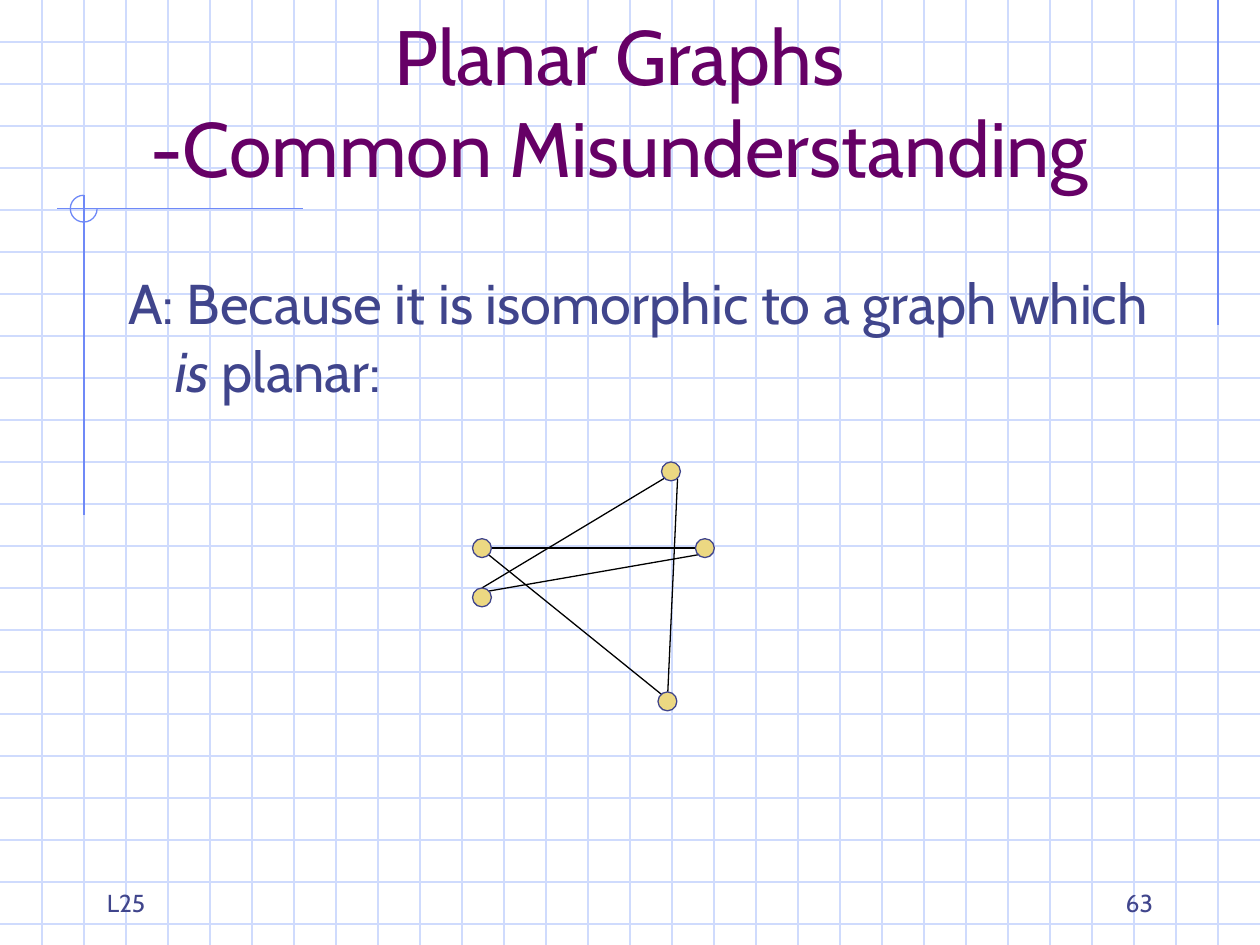
from lxml.etree import SubElement
from pptx import Presentation
from pptx.dml.color import RGBColor
from pptx.enum.shapes import MSO_CONNECTOR, MSO_SHAPE
from pptx.enum.text import MSO_ANCHOR, MSO_AUTO_SIZE, PP_ALIGN
from pptx.oxml.ns import qn
from pptx.util import Pt

GRID = RGBColor(0xCF, 0xDB, 0xFD)
ACCENT = RGBColor(0x6F, 0x89, 0xF7)
PURPLE = RGBColor(0x66, 0x00, 0x66)
NAVY = RGBColor(0x40, 0x45, 0x8C)
YELLOW = RGBColor(0xEC, 0xD8, 0x82)
BLACK = RGBColor(0x00, 0x00, 0x00)
FONT = "Cabin"
WIDTH, HEIGHT, GRID_STEP = 720, 540, 24
NODE_SIZE = 10.8

presentation = Presentation()
presentation.slide_width = Pt(WIDTH)
presentation.slide_height = Pt(HEIGHT)
slide = presentation.slides.add_slide(presentation.slide_layouts[1])


def draw_line(x1, y1, x2, y2, color):
    line = slide.shapes.add_connector(
        MSO_CONNECTOR.STRAIGHT, Pt(x1), Pt(y1), Pt(x2), Pt(y2))
    line.line.color.rgb = color
    line.line.width = Pt(0.75)
    SubElement(line.element.spPr, qn("a:effectLst"))


def add_run(paragraph, text, size, color, italic=False):
    run = paragraph.add_run()
    run.text = text
    run.font.name = FONT
    run.font.size = Pt(size)
    run.font.color.rgb = color
    run.font.italic = italic


# Squared paper
for y in range(GRID_STEP, HEIGHT, GRID_STEP):
    draw_line(0, y, WIDTH, y, GRID)
for x in range(GRID_STEP, WIDTH, GRID_STEP):
    draw_line(x, 0, x, HEIGHT, GRID)

# Accent lines and the three-quarter circle where they cross
draw_line(696, 0, 696, 186, ACCENT)
draw_line(173, 119.3, 32.4, 119.3, ACCENT)
draw_line(48, 111.6, 48, 294.5, ACCENT)
arc = slide.shapes.add_shape(
    MSO_SHAPE.ARC, Pt(40.2), Pt(111.6), Pt(15.3), Pt(15.3))
arc.adjustments[0] = 0
arc.adjustments[1] = 162  # 270 degrees
arc.fill.background()
arc.line.color.rgb = ACCENT
arc.line.width = Pt(0.75)
arc.shadow.inherit = False

# Title and body, brought in front of the grid
title, body = slide.placeholders
for placeholder, left, top, width, height, anchor in (
        (title, 48, 24, 612, 90, MSO_ANCHOR.BOTTOM),
        (body, 66, 150, 612, 324, MSO_ANCHOR.TOP)):
    placeholder.left, placeholder.top = Pt(left), Pt(top)
    placeholder.width, placeholder.height = Pt(width), Pt(height)
    placeholder.text_frame.vertical_anchor = anchor
    placeholder.text_frame.auto_size = MSO_AUTO_SIZE.NONE
    placeholder.element.getparent().append(placeholder.element)

paragraph = title.text_frame.paragraphs[0]
paragraph.alignment = PP_ALIGN.CENTER
add_run(paragraph, "Planar Graphs", 44, PURPLE)
paragraph.add_line_break()
add_run(paragraph, "-Common Misunderstanding", 44, PURPLE)

paragraph = body.text_frame.paragraphs[0]
paragraph.space_before = Pt(0)
properties = paragraph._p.get_or_add_pPr()
properties.set("marL", str(Pt(27)))
properties.set("indent", str(Pt(-27)))
SubElement(properties, qn("a:buNone"))
add_run(paragraph, "A: Because it is isomorphic to a graph which ", 32, NAVY)
add_run(paragraph, "is", 32, NAVY, italic=True)
add_run(paragraph, " planar:", 32, NAVY)

# Graph: edges, then nodes
for x1, y1, x2, y2 in (
        (280.8, 313.2, 397.4, 313.2),
        (279.2, 337.8, 399, 317),
        (378, 396.8, 279.2, 317),
        (379.5, 273.4, 275.4, 336),
        (387.2, 273.4, 381.6, 395.4)):
    draw_line(x1, y1, x2, y2, BLACK)

for left, top in (
        (270, 307.8), (397.4, 307.8), (270, 336), (376, 395.4), (378, 264)):
    node = slide.shapes.add_shape(
        MSO_SHAPE.OVAL, Pt(left), Pt(top), Pt(NODE_SIZE), Pt(NODE_SIZE))
    node.fill.solid()
    node.fill.fore_color.rgb = YELLOW
    node.line.color.rgb = NAVY
    node.line.width = Pt(0.75)
    node.shadow.inherit = False

# Footer
for text, left, alignment in (
        ("63", 516, PP_ALIGN.RIGHT), ("L25", 54, PP_ALIGN.LEFT)):
    footer = slide.shapes.add_textbox(Pt(left), Pt(492), Pt(150), Pt(36))
    footer.text_frame.word_wrap = True
    footer.text_frame.vertical_anchor = MSO_ANCHOR.BOTTOM
    paragraph = footer.text_frame.paragraphs[0]
    paragraph.alignment = alignment
    add_run(paragraph, text, 14, NAVY)

presentation.save("out.pptx")
